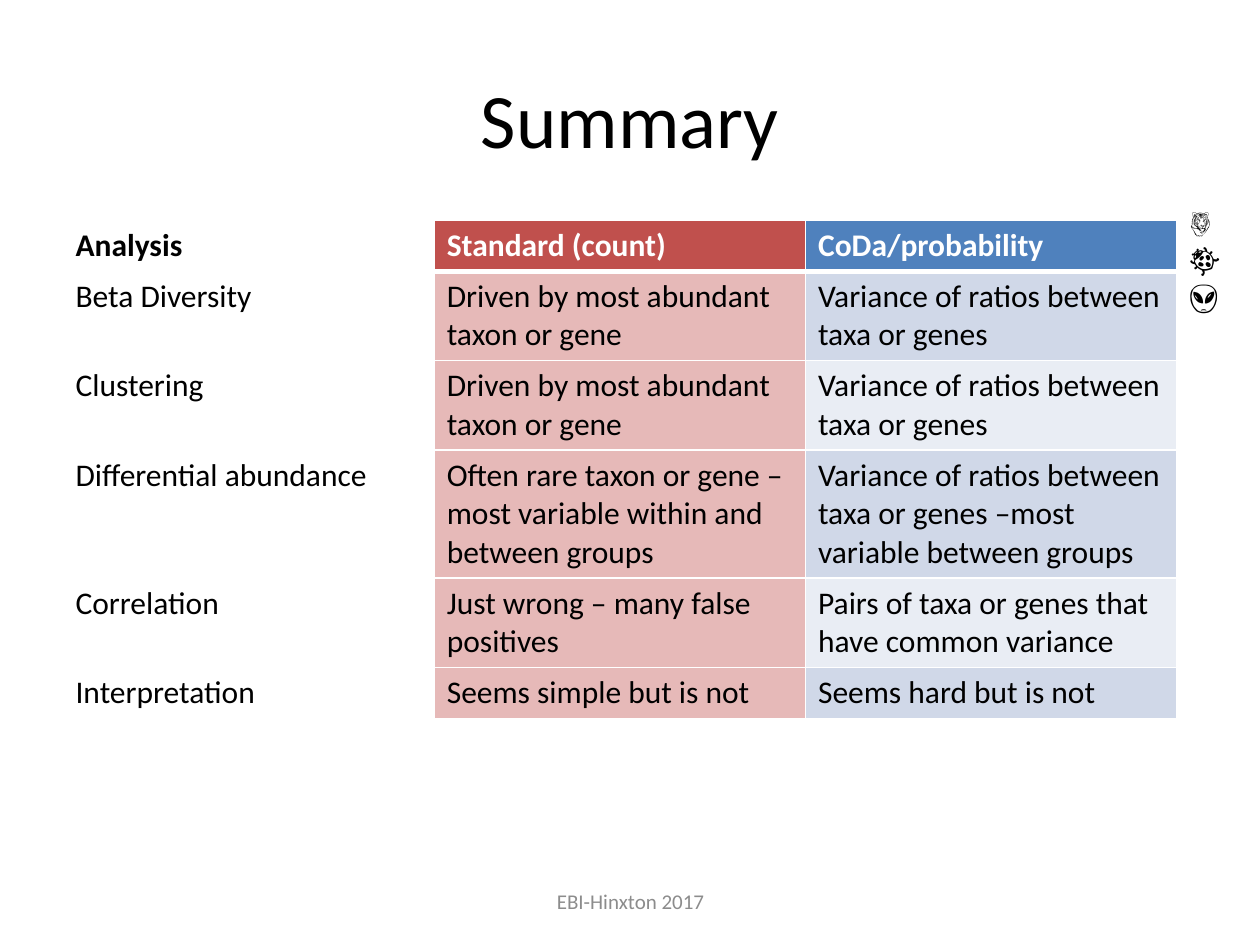
import pptx
import pptx.util
import pptx.dml.color
import pptx.enum.text
import pptx.oxml
import pptx.oxml.ns

RGB = pptx.dml.color.RGBColor
BLACK = RGB(0x00, 0x00, 0x00)
WHITE = RGB(0xFF, 0xFF, 0xFF)
GREY = RGB(0x8C, 0x8C, 0x8C)
RED = RGB(0xC0, 0x50, 0x4D)
PINK = RGB(0xE6, 0xB9, 0xB8)
BLUE = RGB(0x4F, 0x81, 0xBD)
BLUE_BAND = RGB(0xD0, 0xD8, 0xE8)
PALE_BAND = RGB(0xE9, 0xED, 0xF4)

ALIGN = pptx.enum.text.PP_ALIGN
ANCHOR = pptx.enum.text.MSO_ANCHOR

ROWS = [
    ("Analysis", "Standard (count)", "CoDa/probability"),
    ("Beta Diversity", "Driven by most abundant taxon or gene",
     "Variance of ratios between taxa or genes"),
    ("Clustering", "Driven by most abundant taxon or gene",
     "Variance of ratios between taxa or genes"),
    ("Differential abundance",
     "Often rare taxon or gene – most variable within and between groups",
     "Variance of ratios between taxa or genes –most variable between groups"),
    ("Correlation", "Just wrong – many false positives",
     "Pairs of taxa or genes that have common variance"),
    ("Interpretation", "Seems simple but is not", "Seems hard but is not"),
]
LINES_PER_ROW = [1, 2, 2, 3, 2, 1]


class SummarySlide:
    """Draws styled elements on one slide, placed by shares of its size."""

    font = "Calibri"
    body_size = 18

    def __init__(self, prs):
        self.width, self.height = prs.slide_width, prs.slide_height
        self.s = prs.slides.add_slide(prs.slide_layouts[6])

    def place(self, x, y, w, h):
        return (round(x * self.width), round(y * self.height),
                round(w * self.width), round(h * self.height))

    def run(self, p, text, size, color, bold=False):
        r = p.add_run()
        r.text = text
        r.font.name, r.font.size = self.font, pptx.util.Pt(size)
        r.font.color.rgb, r.font.bold = color, bold

    def text(self, box, lines, size, color=BLACK, align=ALIGN.LEFT, anchor=ANCHOR.TOP):
        tf = self.s.shapes.add_textbox(*self.place(*box)).text_frame
        tf.word_wrap, tf.vertical_anchor = True, anchor
        for i, line in enumerate(lines):
            p = tf.add_paragraph() if i else tf.paragraphs[0]
            p.alignment = align
            self.run(p, line, size, color)

    def border(self, cell, header):
        tc_pr = cell._tc.get_or_add_tcPr()
        for i, side in enumerate("LRTB"):
            points = 3 if header and side == "B" else 1
            tc_pr.insert(i, pptx.oxml.parse_xml(
                f'<a:ln{side} {pptx.oxml.ns.nsdecls("a")} w="{pptx.util.Pt(points)}">'
                f'<a:solidFill><a:srgbClr val="{WHITE}"/></a:solidFill></a:ln{side}>'))

    def table(self, box, rows, lines_per_row):
        frame = self.s.shapes.add_table(len(rows), len(rows[0]), *self.place(*box))
        table = frame.table
        for i, (texts, lines) in enumerate(zip(rows, lines_per_row)):
            header = i == 0
            table.rows[i].height = pptx.util.Inches(0.1 + 0.305 * lines)
            band = BLUE_BAND if i % 2 else PALE_BAND
            fills = (WHITE, RED, BLUE) if header else (WHITE, PINK, band)
            for j, (text, fill) in enumerate(zip(texts, fills)):
                cell = table.cell(i, j)
                cell.fill.solid()
                cell.fill.fore_color.rgb = fill
                self.border(cell, header)
                color = WHITE if header and j else BLACK
                self.run(cell.text_frame.paragraphs[0], text, self.body_size, color, header)


def main():
    prs = pptx.Presentation()
    prs.slide_width, prs.slide_height = pptx.util.Inches(10), pptx.util.Inches(7.5)
    slide = SummarySlide(prs)
    slide.text((0.05, 0.04, 0.9, 0.17), ["Summary"], 44,
               align=ALIGN.CENTER, anchor=ANCHOR.MIDDLE)
    slide.table((0.05, 0.233, 0.884, 0.52), ROWS, LINES_PER_ROW)
    slide.text((0.342, 0.927, 0.317, 0.053), ["EBI-Hinxton 2017"], 12, GREY,
               ALIGN.CENTER, ANCHOR.MIDDLE)
    slide.text((0.934, 0.207, 0.054, 0.135), ["🐯", "🐞", "👽"], slide.body_size)
    prs.save("out.pptx")


if __name__ == "__main__":
    main()
